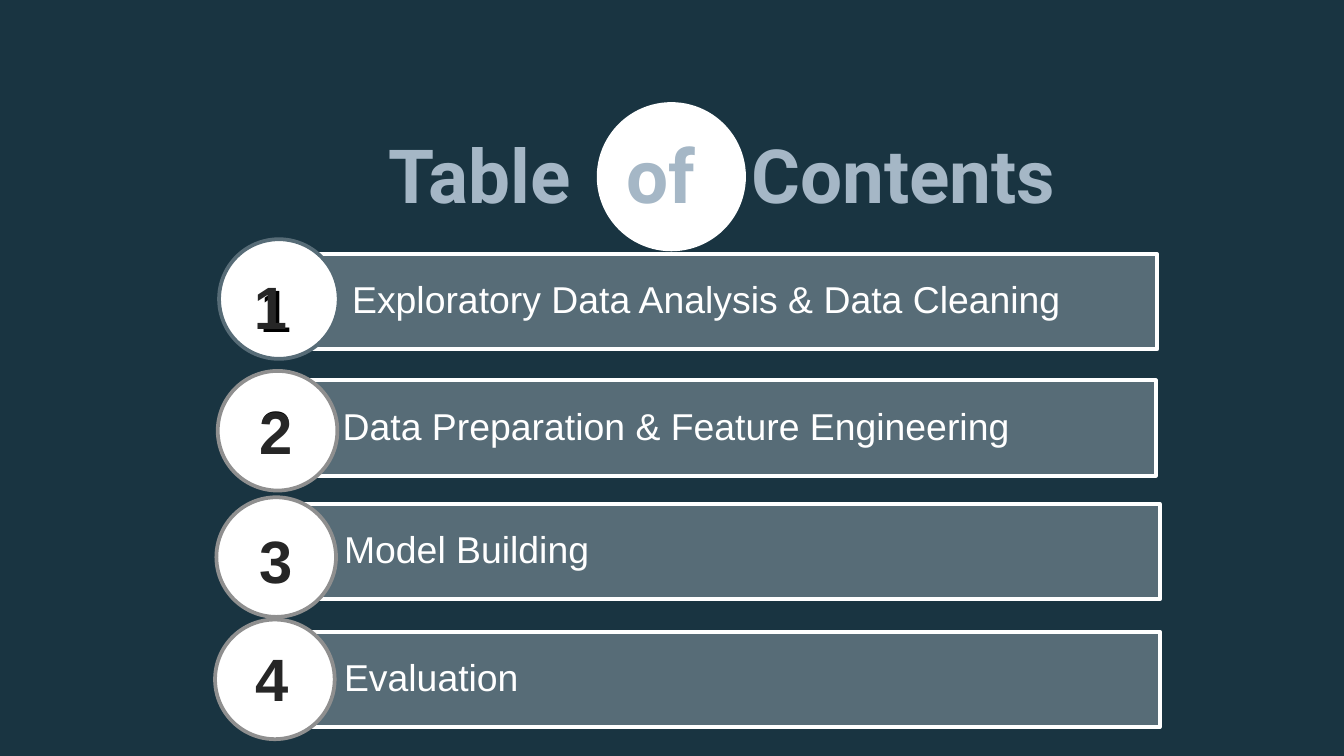
from pptx import Presentation
from pptx.dml.color import RGBColor
from pptx.enum import shapes, text
from pptx.util import Inches, Pt

NAVY = RGBColor(0x19, 0x34, 0x41)
SLATE = RGBColor(0x57, 0x6C, 0x77)
MIST = RGBColor(0xA5, 0xB7, 0xC6)
GREY = RGBColor(0x8F, 0x8F, 0x8F)
INK = RGBColor(0x26, 0x26, 0x26)
BLACK = RGBColor(0, 0, 0)
WHITE = RGBColor(255, 255, 255)

DISC = 0.89
ROWS = [
    ("Exploratory Data Analysis & Data Cleaning", (2.07, 1.89, 6.54, 0.71),
     (1.63, 1.78), SLATE, 0.55, [(1.83, 1.98, False), (1.79, 1.96, True)]),
    ("Data Preparation & Feature Engineering", (2.08, 2.83, 6.52, 0.71),
     (1.62, 2.76), GREY, 0.47, [(1.83, 2.88, False), (1.83, 2.89, True)]),
    ("Model Building", (2.09, 3.75, 6.54, 0.71),
     (1.61, 3.7), GREY, 0.47, [(1.83, 3.85, True)]),
    ("Evaluation", (2.09, 4.7, 6.54, 0.71),
     (1.6, 4.61), GREY, 0.47, [(1.8, 4.73, True)]),
]


def write(frame, words, size, color, font="Arial", bold=False, pads=(0.1, 0.05, 0.1, 0.05),
          align=text.PP_ALIGN.LEFT, anchor=text.MSO_ANCHOR.TOP, lead=1.0, gap=0):
    """Fill a text frame with one line, widening each space by gap points if given."""
    frame.word_wrap = True
    frame.auto_size = text.MSO_AUTO_SIZE.NONE
    frame.vertical_anchor = anchor
    sides = [Inches(pad) for pad in pads]
    frame.margin_left, frame.margin_top, frame.margin_right, frame.margin_bottom = sides
    para = frame.paragraphs[0]
    para.alignment, para.line_spacing = align, lead
    for part in words.replace(" ", "| |").split("|") if gap else [words]:
        run = para.add_run()
        run.text = part
        run.font.size, run.font.name, run.font.bold = Pt(size), font, bold
        run.font.color.rgb = color
        if gap and part == " ":
            run.font._element.set("spc", str(gap * 100))


def draw(slide, kind, box, fill, line=None):
    """Add a flat preset shape in the given box."""
    shape = slide.shapes.add_shape(kind, *map(Inches, box))
    shape.shadow.inherit = False
    shape.fill.solid()
    shape.fill.fore_color.rgb = fill
    if line is None:
        shape.line.fill.background()
    else:
        shape.line.color.rgb = line
        shape.line.width = Pt(2)
    return shape


def head(slide, box):
    """Place the title over a white disc."""
    left, top, width, height = box
    draw(slide, shapes.MSO_SHAPE.FLOWCHART_CONNECTOR,
         (left + 3.17, top - 0.28, 1.11, 1.11), WHITE)
    title = slide.shapes.title
    title.left, title.top, title.width, title.height = map(Inches, box)
    write(title.text_frame, "Table of Contents", 40, MIST, font="Roboto", bold=True,
          pads=(0.1,) * 4, align=text.PP_ALIGN.CENTER,
          anchor=text.MSO_ANCHOR.MIDDLE, gap=20)
    slide.shapes._spTree.append(title._element)


def entry(slide, num, label, box, spot, ring, inset, marks):
    """Draw one numbered bar with its disc and digits."""
    bar = draw(slide, shapes.MSO_SHAPE.RECTANGLE, box, SLATE, WHITE)
    write(bar.text_frame, label, 20, WHITE, pads=(inset, 0.08, 0.08, 0.08),
          anchor=text.MSO_ANCHOR.MIDDLE, lead=0.9)
    draw(slide, shapes.MSO_SHAPE.OVAL, (*spot, DISC, DISC), WHITE, ring)
    for left, top, bold in marks:
        digit = slide.shapes.add_textbox(*map(Inches, (left, top, 0.53, 0.64)))
        write(digit.text_frame, str(num), 32, INK if bold else BLACK, bold=bold)


def main():
    """Build and save the contents slide."""
    deck = Presentation()
    deck.slide_width = Inches(10)
    deck.slide_height = deck.slide_width * 9 // 16
    slide = deck.slides.add_slide(deck.slide_layouts[5])
    slide.background.fill.solid()
    slide.background.fill.fore_color.rgb = NAVY
    head(slide, (1.27, 1.04, 8.2, 0.51))
    for num, row in enumerate(ROWS, 1):
        entry(slide, num, *row)
    deck.save("out.pptx")


if __name__ == "__main__":
    main()
